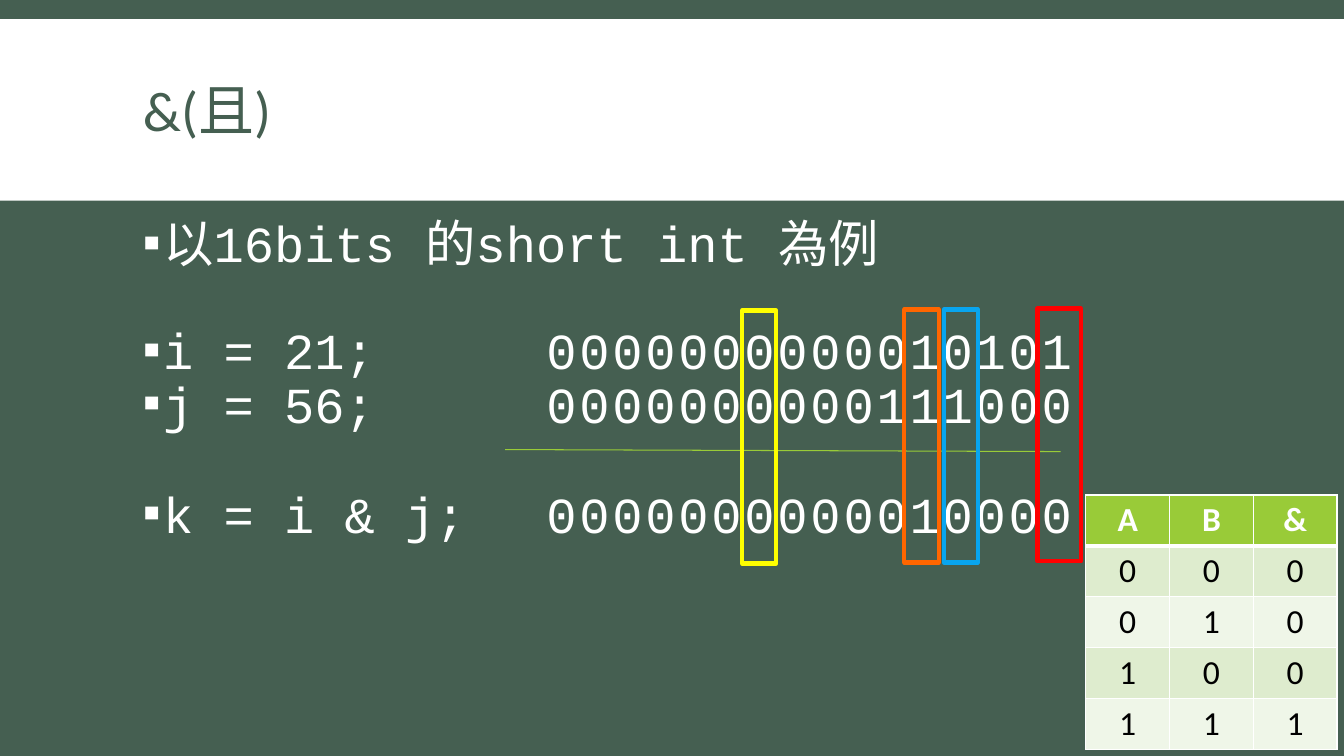
from dataclasses import dataclass

from lxml.etree import SubElement
from pptx import Presentation
from pptx.dml.color import RGBColor
from pptx.enum.shapes import MSO_CONNECTOR as Connector, MSO_SHAPE as Shape
from pptx.enum.text import MSO_ANCHOR as Anchor, PP_ALIGN as Align
from pptx.oxml.ns import qn
from pptx.util import Inches, Pt


@dataclass(frozen=True)
class Theme:
    green: str = "455F51"
    white: str = "FFFFFF"
    black: str = "000000"
    lime: str = "99CB38"
    band_dark: str = "DEECCE"
    band_light: str = "EFF6E8"
    red: str = "FF0000"
    blue: str = "08A5EF"
    yellow: str = "FFFF00"
    orange: str = "FF6600"
    sans: str = "Calibri"
    mono: str = "Courier New"
    title_size: int = 40
    body_size: int = 36
    table_size: int = 24


def apply_format(target, values):
    for name, value in values.items():
        setattr(target, name, value)


class SlideBuilder:
    def __init__(self, page, theme):
        self.page = page
        self.theme = theme

    def background(self, color):
        fill = self.page.background.fill
        fill.solid()
        fill.fore_color.rgb = RGBColor.from_string(color)

    def rectangle(self, place, fill=None, outline=None):
        box = self.page.shapes.add_shape(Shape.RECTANGLE, *map(Inches, place))
        box.shadow.inherit = False
        if fill:
            box.fill.solid()
            box.fill.fore_color.rgb = RGBColor.from_string(fill)
        else:
            box.fill.background()
        if outline:
            box.line.color.rgb = RGBColor.from_string(outline)
            box.line.width = Pt(3)
        else:
            box.line.fill.background()

    def line(self, start, end, color, width):
        points = map(Inches, (*start, *end))
        rule = self.page.shapes.add_connector(Connector.STRAIGHT, *points)
        rule.line.color.rgb = RGBColor.from_string(color)
        rule.line.width = Pt(width)
        SubElement(rule._element.spPr, qn("a:effectLst"))

    def text_box(self, place, anchor):
        frame = self.page.shapes.add_textbox(*map(Inches, place)).text_frame
        apply_format(frame, {"word_wrap": True, "vertical_anchor": anchor})
        return frame

    def span(self, para, text, font, size, color, bold=False, spacing=0):
        span = para.add_run()
        span.text = text
        apply_format(span.font, {"name": font, "size": Pt(size), "bold": bold})
        span.font.color.rgb = RGBColor.from_string(color)
        if spacing:
            span._r.get_or_add_rPr().set("spc", str(spacing * 100))

    def bullet(self, para):
        props = para._p.get_or_add_pPr()
        lengths = {"marL": 0.2, "indent": -0.2, "defTabSz": 0.5}
        for name, length in lengths.items():
            props.set(name, str(Inches(length)))
        color = SubElement(props, qn("a:buClr"))
        SubElement(color, qn("a:srgbClr"), val=self.theme.white)
        SubElement(props, qn("a:buFont"), typeface=self.theme.sans)
        SubElement(props, qn("a:buChar"), char="▪")

    def title(self, place, text):
        para = self.text_box(place, Anchor.MIDDLE).paragraphs[0]
        para.line_spacing = 0.85
        self.span(para, text, self.theme.sans, self.theme.title_size, self.theme.green)

    def bullets(self, place, items):
        theme = self.theme
        frame = self.text_box(place, Anchor.TOP)
        for index, (label, tabs, bits, before) in enumerate(items):
            para = frame.add_paragraph() if index else frame.paragraphs[0]
            apply_format(para, {"line_spacing": 0.75, "space_before": Pt(before),
                                "space_after": Pt(2)})
            self.bullet(para)
            self.span(para, label + "\t" * tabs, theme.mono, theme.body_size, theme.white)
            if bits:
                self.span(para, bits, theme.mono, theme.body_size, theme.white, spacing=2)

    def borders(self, cell, widths):
        props = cell._tc.get_or_add_tcPr()
        for side, width in widths.items():
            edge = SubElement(props, qn(f"a:ln{side}"), w=str(Pt(width)))
            fill = SubElement(edge, qn("a:solidFill"))
            SubElement(fill, qn("a:srgbClr"), val=self.theme.white)

    def truth_table(self, place, rows):
        theme = self.theme
        size = len(rows), len(rows[0])
        table = self.page.shapes.add_table(*size, *map(Inches, place)).table
        for row_index, row in enumerate(rows):
            header = row_index == 0
            band = theme.band_dark if row_index % 2 else theme.band_light
            for column_index, text in enumerate(row):
                cell = table.cell(row_index, column_index)
                self.borders(cell, {"L": 1, "R": 1, "T": 3 if row_index == 1 else 1,
                                    "B": 3 if header else 1})
                cell.fill.solid()
                cell.fill.fore_color.rgb = RGBColor.from_string(theme.lime if header else band)
                cell.vertical_anchor = Anchor.MIDDLE
                para = cell.text_frame.paragraphs[0]
                para.alignment = Align.CENTER
                self.span(para, text, theme.sans, theme.table_size,
                          theme.white if header else theme.black, bold=header)


def main():
    theme = Theme()
    deck = Presentation()
    apply_format(deck, {"slide_width": Inches(13.33), "slide_height": Inches(7.5)})
    builder = SlideBuilder(deck.slides.add_slide(deck.slide_layouts[6]), theme)

    builder.background(theme.green)
    builder.rectangle((0, 0.19, 13.33, 1.8), fill=theme.white)
    builder.title((1.32, 0.31, 10.7, 1.65), "&(且)")
    builder.bullets((1.32, 2.2, 10.7, 4.6), [
        ("以16bits 的short int 為例", 0, "", 4),
        ("i = 21;", 4, f"{21:016b}", 42),
        ("j = 56;", 4, f"{56:016b}", 4),
        ("k = i & j;", 2, f"{21 & 56:016b}", 44),
    ])
    builder.line((5.01, 4.46), (10.52, 4.48), theme.lime, 0.75)
    for left, top, width, color in [
        (10.29, 3.06, 0.43, theme.red),
        (9.36, 3.07, 0.34, theme.blue),
        (7.36, 3.08, 0.34, theme.yellow),
        (8.97, 3.07, 0.34, theme.orange),
    ]:
        builder.rectangle((left, top, width, 2.51), outline=color)
    pairs = [(a, b) for a in (0, 1) for b in (0, 1)]
    truth = [(str(a), str(b), str(a & b)) for a, b in pairs]
    builder.truth_table((10.77, 4.91, 2.49, 2.53), [("A", "B", "&"), *truth])

    deck.save("out.pptx")


if __name__ == "__main__":
    main()
